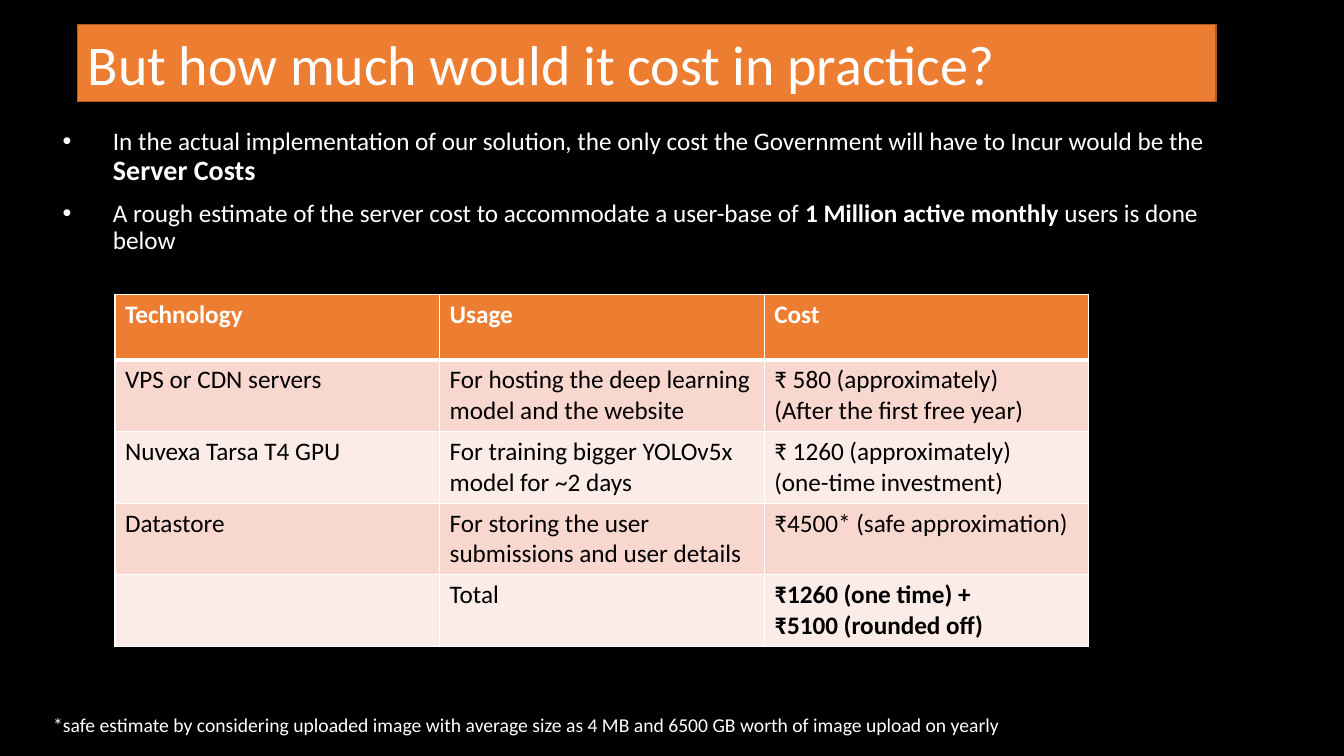
import pptx
import pptx.util
import pptx.dml.color
import pptx.enum.text
import pptx.oxml
import pptx.oxml.ns
from pptx.util import Inches

ANCHOR = pptx.enum.text.MSO_ANCHOR
AUTO_SIZE = pptx.enum.text.MSO_AUTO_SIZE


def rgb(value):
    return pptx.dml.color.RGBColor.from_string(value)


class CostSlide:
    font = "Calibri"
    white, black = "FFFFFF", "000000"
    accent, accent_edge = "ED7D31", "AF5C24"
    bands = ("F8D7CE", "FCECE8")

    def __init__(self, prs):
        self.slide = prs.slides.add_slide(prs.slide_layouts[1])
        fill = self.slide.background.fill
        fill.solid()
        fill.fore_color.rgb = rgb(self.black)

    def style(self, p, size, color, bold=False):
        p.font.name = self.font
        p.font.size = pptx.util.Pt(size)
        p.font.color.rgb = rgb(color)
        p.font.bold = bold

    def place(self, sp, left, top, width, height):
        sp.left, sp.top = Inches(left), Inches(top)
        sp.width, sp.height = Inches(width), Inches(height)

    def title(self, text, box):
        sp = self.slide.shapes.title
        self.place(sp, *box)
        sp.fill.solid()
        sp.fill.fore_color.rgb = rgb(self.accent)
        sp.line.color.rgb = rgb(self.accent_edge)
        sp.line.width = pptx.util.Pt(1)
        tf = sp.text_frame
        tf.text = text
        tf.auto_size = AUTO_SIZE.NONE
        tf.vertical_anchor = ANCHOR.MIDDLE
        p = tf.paragraphs[0]
        p.alignment = pptx.enum.text.PP_ALIGN.LEFT
        self.style(p, 40, self.white)

    def bullets(self, items, box):
        sp = self.slide.placeholders[1]
        self.place(sp, *box)
        tf = sp.text_frame
        tf.auto_size = AUTO_SIZE.NONE
        for i, runs in enumerate(items):
            p = tf.paragraphs[0] if i == 0 else tf.add_paragraph()
            self.style(p, 18, self.white)
            p.line_spacing = 0.9
            p.space_before = pptx.util.Pt(10)
            pPr = p._p.get_or_add_pPr()
            pPr.set("marL", str(Inches(0.5)))
            pPr.set("indent", str(Inches(-0.5)))
            for text, size, bold in runs:
                r = p.add_run()
                r.text = text
                r.font.size = pptx.util.Pt(size)
                r.font.bold = bold

    def borders(self, cell, bottom):
        tcPr = cell._tc.get_or_add_tcPr()
        widths = {"lnL": 1, "lnR": 1, "lnT": 1, "lnB": bottom}
        for i, (tag, width) in enumerate(widths.items()):
            ln = pptx.oxml.parse_xml(
                f'<a:{tag} {pptx.oxml.ns.nsdecls("a")} w="{pptx.util.Pt(width)}">'
                f'<a:solidFill><a:srgbClr val="{self.white}"/></a:solidFill></a:{tag}>')
            tcPr.insert(i, ln)

    def table(self, rows, left, top, col_width, row_height):
        n_rows, n_cols = len(rows), len(rows[0])
        frame = self.slide.shapes.add_table(
            n_rows, n_cols, Inches(left), Inches(top),
            Inches(col_width * n_cols), Inches(row_height * n_rows))
        table = frame.table
        for col in table.columns:
            col.width = Inches(col_width)
        for i, row in enumerate(rows):
            table.rows[i].height = Inches(row_height)
            header = i == 0
            for j, text in enumerate(row):
                cell = table.cell(i, j)
                cell.text = text
                cell.fill.solid()
                cell.fill.fore_color.rgb = rgb(self.accent if header else self.bands[(i - 1) % 2])
                bold = header or (i, j) == (n_rows - 1, n_cols - 1)
                for p in cell.text_frame.paragraphs:
                    self.style(p, 18, self.white if header else self.black, bold)
                self.borders(cell, 3 if header or i == 0 else 1)
                if i == 1:
                    cell._tc.tcPr.find(pptx.oxml.ns.qn("a:lnT")).set("w", str(pptx.util.Pt(3)))

    def note(self, text, box):
        sp = self.slide.shapes.add_textbox(*(Inches(v) for v in box))
        tf = sp.text_frame
        tf.word_wrap = True
        tf.text = text
        self.style(tf.paragraphs[0], 14, self.white)


def main():
    prs = pptx.Presentation()
    prs.slide_width, prs.slide_height = Inches(13.33), Inches(7.5)
    s = CostSlide(prs)
    s.title("But how much would it cost in practice?", (0.77, 0.24, 11.29, 0.77))
    s.bullets([
        [("In the actual implementation of our solution, the only cost the Government "
          "will have to Incur would be the ", 18, False),
         ("Server Costs", 20, True)],
        [("A rough estimate of the server cost to accommodate a user-base of ", 18, False),
         ("1 Million active monthly", 18, True),
         (" users is done below", 18, False)],
    ], (0.52, 1.23, 11.84, 5.19))
    s.table([
        ("Technology", "Usage", "Cost"),
        ("VPS or CDN servers", "For hosting the deep learning model and the website",
         "₹ 580 (approximately)\n(After the first free year)"),
        ("Nuvexa Tarsa T4 GPU", "For training bigger YOLOv5x model for ~2 days",
         "₹ 1260 (approximately)\n(one-time investment)"),
        ("Datastore", "For storing the user submissions and user details",
         "₹4500* (safe approximation)"),
        ("", "Total", "₹1260 (one time) +\n₹5100 (rounded off)"),
    ], 1.14, 2.92, 3.22, 0.65)
    s.note("*safe estimate by considering uploaded image with average size as 4 MB "
           "and 6500 GB worth of image upload on yearly", (0.43, 7.02, 12.63, 0.34))
    prs.save("out.pptx")


if __name__ == "__main__":
    main()
